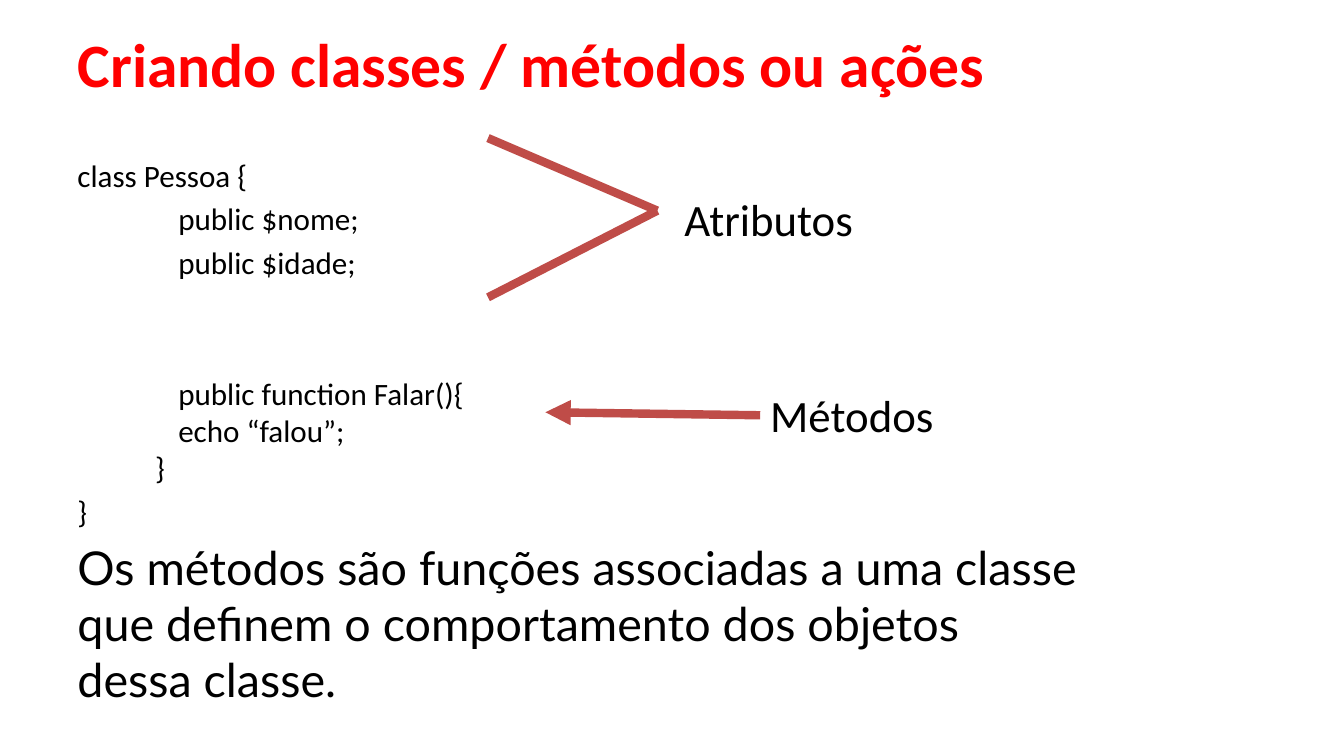
"""Build the slide on class methods and attributes."""
from lxml import etree
from pptx import Presentation
from pptx import util as u
from pptx.dml.color import RGBColor
from pptx.enum import shapes, text
from pptx.oxml.ns import qn

WIDTH, HEIGHT = 13.33, 7.5
COLORS = {"title": "FF0000", "text": "000000", "mark": "BF4C48"}
CODE_SIZE, LABEL_SIZE, TITLE_SIZE, SUMMARY_SIZE = 22.2, 32, 44, 33.3
GAP, SECTION_GAP = 0.2 * CODE_SIZE, 67
LEFT, COLUMN = 0.67, 10.2

TITLE = "Criando classes / métodos ou ações"
TITLE_BOX = (LEFT, 0, COLUMN, HEIGHT / 6)
BODY_BOX = (LEFT, HEIGHT / 5, COLUMN, 5.23)
BODY = [
    ("class Pessoa {", 0, GAP, CODE_SIZE, "Calibri"),
    ("public $nome;", 1, GAP, CODE_SIZE, "Calibri"),
    ("public $idade;", 1, GAP, CODE_SIZE, "Calibri"),
    ("public function Falar(){", 1, SECTION_GAP, CODE_SIZE, "Calibri"),
    ("echo “falou”;", 1, 0, CODE_SIZE, "Calibri"),
    ("}", 0.77, 0, CODE_SIZE, "Calibri"),
    ("}", 0, GAP, CODE_SIZE, "Calibri"),
    ("Os métodos são funções associadas a uma classe que definem o "
     "comportamento dos objetos dessa classe.", 0, 0.2 * SUMMARY_SIZE, SUMMARY_SIZE, "Lato"),
]
LABELS = {"Métodos": (7.54, 3.8, 2.01, 0.64), "Atributos": (6.69, 1.85, 2.05, 0.52)}
BRACKET_TIP = (6.52, 2.09)
BRACKET_ENDS = [(4.84, 1.37), (4.84, 2.95)]
ARROW = ((7.54, 4.12), (5.41, 4.09))


def inches(values):
    return [u.Inches(value) for value in values]


def format_paragraph(paragraph, size, color, font="Calibri", bold=False):
    paragraph.alignment = text.PP_ALIGN.LEFT
    for run in paragraph.runs:
        run.font.size = u.Pt(size)
        run.font.name = font
        run.font.bold = bold
        run.font.color.rgb = RGBColor.from_string(COLORS[color])


def add_text_box(slide, box):
    frame = slide.shapes.add_textbox(*inches(box))
    frame.text_frame.word_wrap = True
    return frame


def add_title(slide):
    title = slide.shapes.title
    title.left, title.top, title.width, title.height = inches(TITLE_BOX)
    title.text_frame.text = TITLE
    title.text_frame.auto_size = text.MSO_AUTO_SIZE.NONE
    title.text_frame.vertical_anchor = text.MSO_ANCHOR.MIDDLE
    format_paragraph(title.text_frame.paragraphs[0], TITLE_SIZE, "title", bold=True)


def add_body(slide):
    frame = add_text_box(slide, BODY_BOX).text_frame
    for index, (line, indent, space, size, font) in enumerate(BODY):
        paragraph = frame.add_paragraph() if index else frame.paragraphs[0]
        paragraph.text = line
        paragraph.space_before = u.Pt(space)
        properties = paragraph._p.get_or_add_pPr()
        properties.set("marL", str(u.Inches(indent)))
        properties.set("indent", "0")
        format_paragraph(paragraph, size, "text", font)


def add_label(slide, label, box):
    shape = add_text_box(slide, box)
    shape.text_frame.text = label
    format_paragraph(shape.text_frame.paragraphs[0], LABEL_SIZE, "text")
    return shape


def add_line(slide, start, end, arrow=False):
    line = slide.shapes.add_connector(shapes.MSO_CONNECTOR.STRAIGHT, *inches(start + end))
    line.line.color.rgb = RGBColor.from_string(COLORS["mark"])
    line.line.width = u.Pt(6)
    if arrow:
        etree.SubElement(line.line._get_or_add_ln(), qn("a:tailEnd"), type="triangle")
    etree.SubElement(line._element.spPr, qn("a:effectLst"))
    return line


def main():
    presentation = Presentation()
    presentation.slide_width, presentation.slide_height = inches((WIDTH, HEIGHT))
    slide = presentation.slides.add_slide(presentation.slide_layouts[5])
    add_title(slide)
    add_body(slide)
    labels = {label: add_label(slide, label, box) for label, box in LABELS.items()}
    arrow = add_line(slide, *ARROW, arrow=True)
    arrow.begin_connect(labels["Métodos"], 1)
    for end in BRACKET_ENDS:
        add_line(slide, end, BRACKET_TIP)
    presentation.save("out.pptx")


if __name__ == "__main__":
    main()
